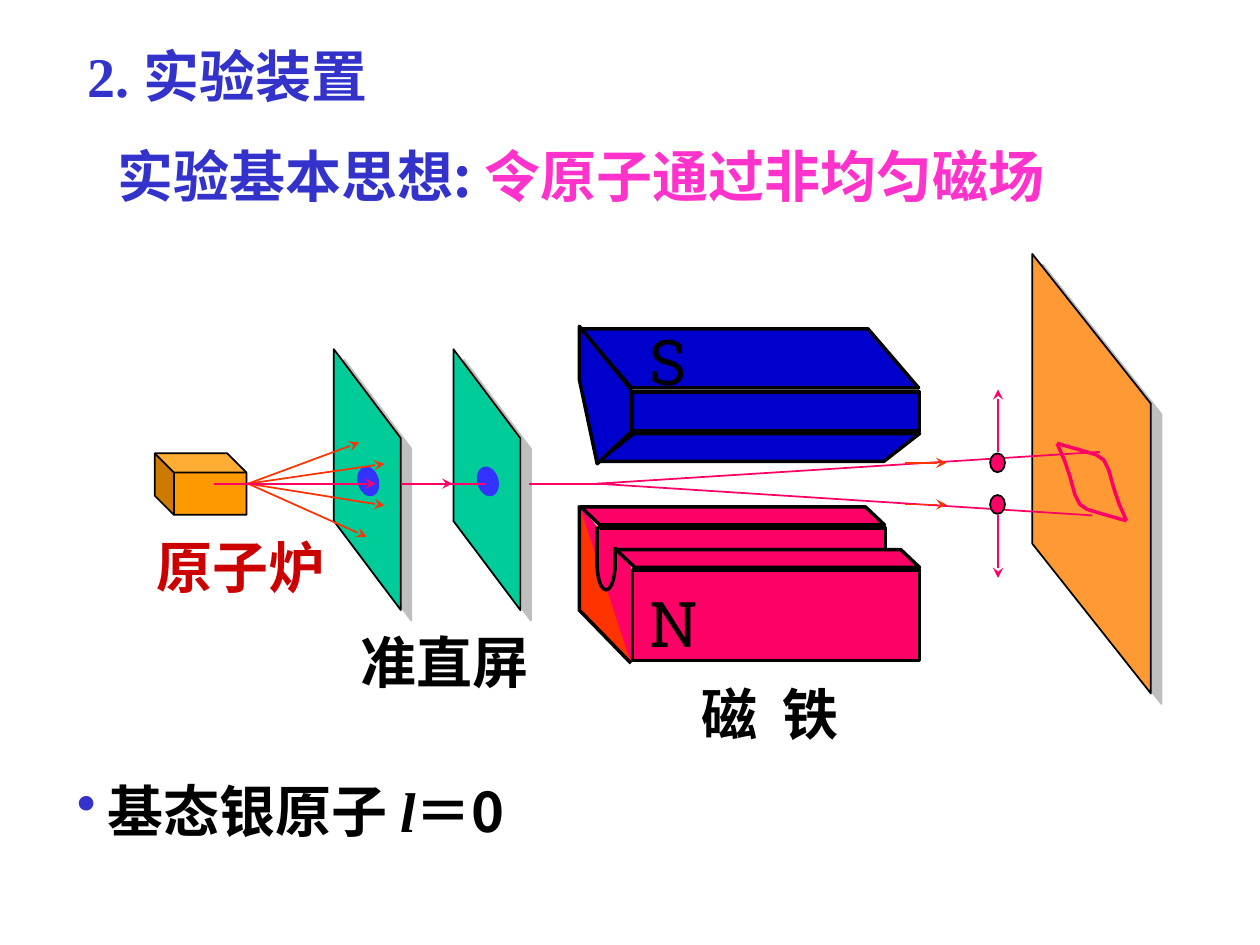
import math

import pptx
import pptx.dml.color
import pptx.enum.shapes
import pptx.enum.text
import pptx.oxml
import pptx.oxml.ns
import pptx.util
from lxml import etree

Cm, Pt = pptx.util.Cm, pptx.util.Pt
SHAPE = pptx.enum.shapes.MSO_SHAPE
CJK, SERIF, SLAB = "Noto Sans CJK SC", "Times New Roman", "Roboto Slab"
BLACK, INDIGO, BLUE, PINK, RED = "000000", "3333CC", "0000CC", "FF0066", "FF3300"


def rgb(value):
    return pptx.dml.color.RGBColor.from_string(value)


def add_xml(parent, tag, **attrs):
    e = etree.SubElement(parent, pptx.oxml.ns.qn(tag))
    for name, value in attrs.items():
        e.set(name, str(value))
    return e


def style(s, fill, line=None, width=1):
    s.shadow.inherit = False
    s.fill.solid() if fill else s.fill.background()
    if fill:
        s.fill.fore_color.rgb = rgb(fill)
    if line:
        s.line.color.rgb = rgb(line)
        s.line.width = Pt(width)
    else:
        s.line.fill.background()
    return s


def add_shape(slide, kind, box, fill, line=None, width=1, adj=None, flip=False):
    s = slide.shapes.add_shape(kind, *map(Cm, box))
    if adj is not None:
        s.adjustments[0] = adj
    if flip:
        s._element.spPr.xfrm.set("flipH", "1")
    return style(s, fill, line, width)


def add_panel(slide, box, adj, *look):
    """Parallelogram turned upright so that it fills the box."""
    x, y, w, h = box
    turned = (x + (w - h) / 2, y + (h - w) / 2, h, w)
    s = add_shape(slide, SHAPE.PARALLELOGRAM, turned, *look, adj=adj)
    s.rotation = 90
    return s


def add_screen_panel(slide, box, adj, fill):
    s = add_panel(slide, box, adj, fill, BLACK)
    effects = s._element.spPr.find(pptx.oxml.ns.qn("a:effectLst"))
    shadow = add_xml(effects, "a:outerShdw", dist=Pt(8.5), dir=45 * 60000,
                     algn="ctr", rotWithShape=0)
    add_xml(add_xml(shadow, "a:srgbClr", val="808080"), "a:alpha", val=50000)


def add_outline(slide, x, y, points, fill, line, close=False):
    points = [(Cm(x + px), Cm(y + py)) for px, py in points]
    builder = slide.shapes.build_freeform(*points[0])
    builder.add_line_segments(points[1:], close=close)
    return style(builder.convert_to_shape(), fill, line, 2)


def add_line(slide, x, y, ends, color, width=1, arrow=False):
    x1, y1, x2, y2 = ends
    c = slide.shapes.add_connector(pptx.enum.shapes.MSO_CONNECTOR.STRAIGHT,
                                   Cm(x + x1), Cm(y + y1), Cm(x + x2), Cm(y + y2))
    c.line.color.rgb = rgb(color)
    c.line.width = Pt(width)
    if arrow:
        add_xml(c.line._get_or_add_ln(), "a:tailEnd", type="stealth")
    add_xml(c._element.spPr, "a:effectLst")


def write(p, runs, size=32):
    """Runs are (text, colour, font, further font values)."""
    p.alignment = pptx.enum.text.PP_ALIGN.LEFT
    for text, color, font, *more in runs:
        r = p.add_run()
        r.text = text
        values = {"size": Pt(size), "name": font, "bold": True, "italic": False}
        for name, value in (values | (more[0] if more else {})).items():
            setattr(r.font, name, value)
        r.font.color.rgb = rgb(color)
        add_xml(r._r.get_or_add_rPr(), "a:ea", typeface=CJK if font == SERIF else font)


def add_text(slide, box, runs, size=32, wrap=False):
    tf = slide.shapes.add_textbox(*map(Cm, box)).text_frame
    tf.word_wrap = wrap
    write(tf.paragraphs[0], runs, size)
    return tf.paragraphs[0]


def add_title(slide, box):
    s = slide.shapes.title
    s.left, s.top, s.width, s.height = map(Cm, box)
    s.text_frame.vertical_anchor = pptx.enum.text.MSO_ANCHOR.TOP
    s.text_frame.auto_size = pptx.enum.text.MSO_AUTO_SIZE.NONE
    write(s.text_frame.paragraphs[0], [("2. 实验装置", INDIGO, SERIF)])


def add_ground_state(slide, box):
    p = add_text(slide, box, [
        ("基态银原子 ", BLACK, CJK), ("l", BLACK, SERIF, {"italic": True}),
        ("＝", BLACK, SERIF), ("0", BLACK, CJK)], wrap=True)
    pPr = p._p.get_or_add_pPr()
    pPr.set("marL", str(Cm(0.61)))
    pPr.set("indent", str(-Cm(0.61)))
    add_xml(add_xml(pPr, "a:buClr"), "a:srgbClr", val=INDIGO)
    add_xml(pPr, "a:buChar", char="•")


def add_south_pole(slide, x, y):
    look = (BLUE, BLACK, 2)
    add_shape(slide, SHAPE.PARALLELOGRAM, (x + 0.03, y + 0.05, 6.81, 1.19),
              *look, adj=0.858, flip=True)
    add_shape(slide, SHAPE.RECTANGLE, (x + 1.07, y + 1.32, 5.79, 0.79), *look)
    add_shape(slide, SHAPE.PARALLELOGRAM, (x + 0.38, y + 2.16, 6.48, 0.56),
              *look, adj=1.284)
    end = [(0, 0), (0, 1.07), (0.36, 2.77), (1.04, 2.13), (1.04, 1.27)]
    add_outline(slide, x, y, end, BLUE, BLACK, close=True)
    add_text(slide, (x + 1.17, y - 0.2, 1.35, 1.78),
             [("S", BLACK, SLAB, {"bold": False})], 36)


def add_north_pole(slide, x, y):
    look = (PINK, BLACK, 2)
    add_shape(slide, SHAPE.RECTANGLE, (x + 0.38, y + 0.46, 5.79, 0.56), *look)
    add_panel(slide, (x, y, 1.04, 3.18), 1.188, PINK)
    add_shape(slide, SHAPE.RECTANGLE, (x + 1.07, y + 1.3, 5.79, 1.83), *look)
    for dx, dy in [(0.74, 0.89), (0.03, 0.03)]:
        add_shape(slide, SHAPE.PARALLELOGRAM, (x + dx, y + dy, 6.12, 0.36),
                  *look, adj=1.058, flip=True)
    add_panel(slide, (x + 0.36, y + 0.43, 0.36, 1.07), 1.101, PINK)
    add_outline(slide, x, y, [(1.04, 3.18), (0, 2.11), (0, 0)], RED, BLACK)
    angles = [math.pi * i / 16 for i in range(17)]
    groove = [(0.54 + 0.18 * math.cos(a), 1.2 + 0.5 * math.sin(a)) for a in angles]
    add_outline(slide, x, y, groove, PINK, BLACK)
    for ends in [(0.72, 0.84, 0.72, 1.3), (0.36, 0.43, 0.36, 1.27)]:
        add_line(slide, x, y, ends, BLACK, 2)
    add_text(slide, (x + 1.17, y + 1.47, 1.45, 1.78),
             [("N", BLACK, SLAB, {"bold": False})], 36)
    p = add_text(slide, (x + 2.21, y + 3.38, 4.42, 1.6),
                 [("磁", BLACK, CJK), (" ", BLACK, CJK), ("铁", BLACK, CJK)], wrap=True)
    p.runs[1]._r.get_or_add_rPr().set("spc", "700")


def add_collimators(slide, x, y):
    for left in (x, x + 2.41):
        add_screen_panel(slide, (left, y, 1.35, 5.26), 1.331, "00CC99")
        hole = add_shape(slide, SHAPE.OVAL, (left + 0.48, y + 2.36, 0.43, 0.61), "3333FF")
        hole.rotation = 344
    add_text(slide, (x + 0.28, y + 5.48, 3.91, 1.6), [("准直屏", BLACK, CJK)])


def add_oven(slide, x, y):
    add_shape(slide, SHAPE.CUBE, (x, y, 1.85, 1.24), "FF9900", BLACK, adj=0.312, flip=True)
    add_text(slide, (x - 0.22, y + 1.48, 3.91, 1.6), [("原子炉", "CC0000", CJK)])
    for dx, dy in [(4.12, -0.22), (4.27, 1.68), (4.63, 1.05), (4.63, 0.21)]:
        add_line(slide, x, y, (1.88, 0.61, dx, dy), RED, arrow=True)


def add_beam(slide, x, y):
    """Beam along the axis y, then split in two, with its atoms."""
    for start, end, arrow in [(0.15, 3.07, False), (6.35, 8.08, False),
                              (3.76, 5.48, False), (3.76, 4.8, True), (0, 3.25, True)]:
        add_line(slide, x, y, (start, 0, end, 0), PINK, arrow=arrow)
    for side, end in [(-1, 17.85), (1, 17.7)]:
        add_line(slide, x, y, (7.72, 0, end, side * 0.64), PINK)
        add_line(slide, x, y, (13.92, side * 0.42, 14.76, side * 0.42), RED, arrow=True)
        add_shape(slide, SHAPE.OVAL, (x + 15.64, y + side * 0.42 - 0.19, 0.3, 0.38),
                  PINK, BLACK)
        add_line(slide, x, y, (15.8, side * 0.64, 15.8, side * 1.9), PINK, arrow=True)


def add_detector(slide, x, y):
    add_screen_panel(slide, (x, y, 2.39, 8.86), 1.263, "FF9933")
    upper = [(0.5, 3.82), (0.96, 3.95), (1.29, 4.05), (1.44, 4.15), (1.54, 4.35),
             (1.64, 4.71), (1.75, 5.04), (1.9, 5.38)]
    lower = [(2.4 - px, 9.2 - py) for px, py in upper]
    for trace in (upper, lower):
        add_outline(slide, x, y, trace, None, PINK)


def main():
    prs = pptx.Presentation()
    prs.slide_width, prs.slide_height = Cm(25.4), Cm(19.05)
    slide = prs.slides.add_slide(prs.slide_layouts[5])
    add_title(slide, (1.5, 0.71, 20.32, 1.63))
    add_text(slide, (2.11, 2.72, 22.1, 1.63),
             [("实验基本思想: ", INDIGO, CJK), ("令原子通过非均匀磁场", "FF33CC", CJK)],
             wrap=True)
    add_detector(slide, 20.81, 5.12)
    add_south_pole(slide, 11.68, 6.58)
    add_north_pole(slide, 11.68, 10.19)
    add_collimators(slide, 6.73, 7.04)
    add_oven(slide, 3.12, 9.14)
    add_beam(slide, 4.32, 9.75)
    add_ground_state(slide, (1.3, 15.52, 11.1, 1.63))
    prs.save("out.pptx")


if __name__ == "__main__":
    main()
